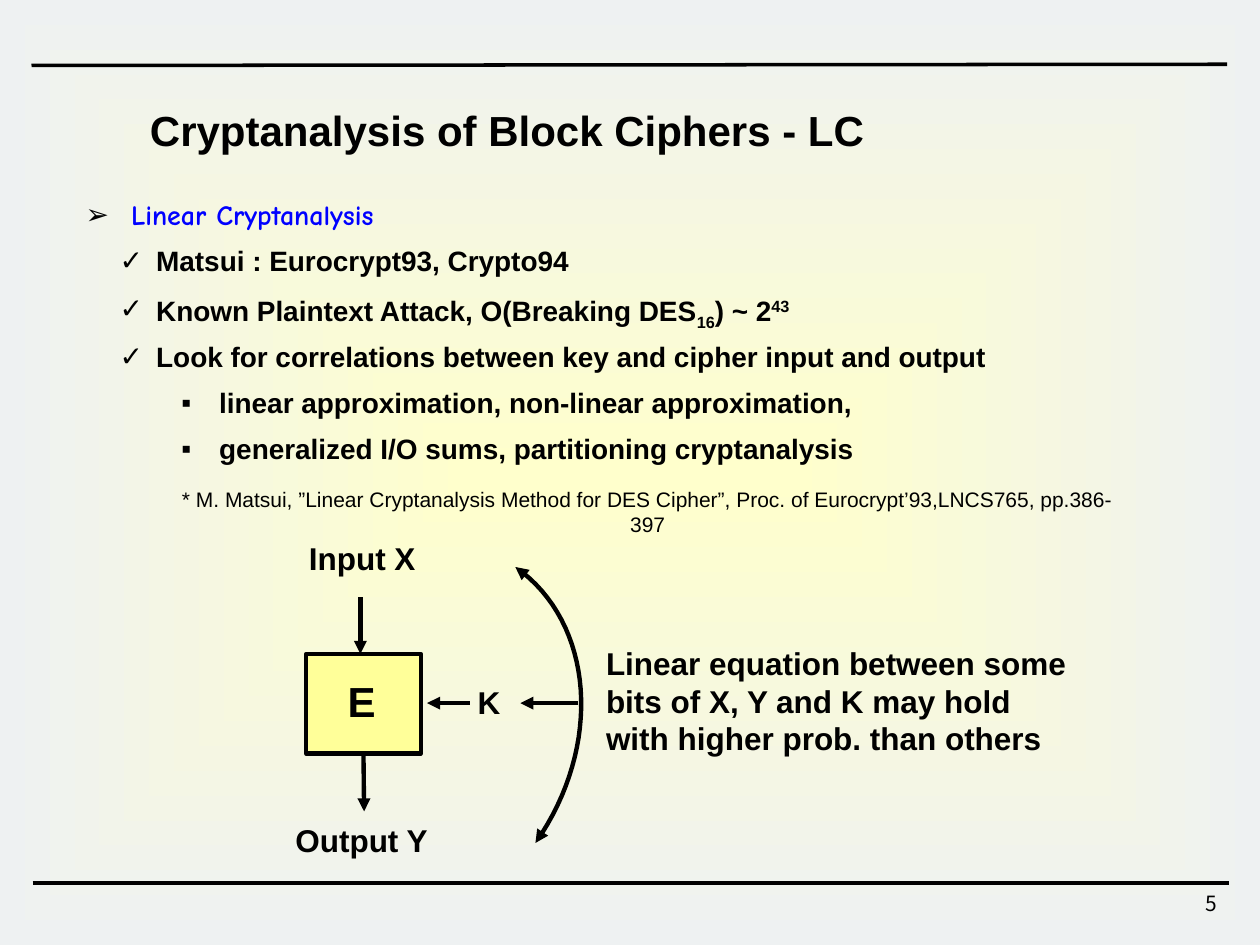
import collections
import dataclasses

import pptx
import pptx.dml.color
import pptx.enum.shapes
import pptx.enum.text
import pptx.oxml
import pptx.oxml.ns
import pptx.util

Inches = pptx.util.Inches
Pt = pptx.util.Pt
ALIGN = pptx.enum.text.PP_ALIGN
SHAPES = pptx.enum.shapes.MSO_SHAPE
Box = collections.namedtuple("Box", "left top width height")
Level = collections.namedtuple("Level", "bullet margin hang")


@dataclasses.dataclass(frozen=True)
class Theme:
    ink: str = "000000"
    accent: str = "0000FF"
    block: str = "FFFF99"
    glow: str = "FFFFCC"
    edge: str = "EEF1F2"
    font: str = "Arial"
    accent_font: str = "Comic Neue"
    number_font: str = "Noto Sans CJK KR"
    title: int = 24
    label: int = 18
    body: int = 16
    small: int = 12
    rule: float = 2
    stroke: float = 2.5


THEME = Theme()
LEVELS = [Level("➢", 0.36, 0.36), Level("✓", 0.56, 0.29), Level("▪", 1.06, 0.3)]
# Each item: level, then (text, baseline shift in thousandths of a percent)
ITEMS = [
    (0, [("Linear Cryptanalysis", 0)]),
    (1, [("Matsui : Eurocrypt93, Crypto94", 0)]),
    (1, [("Known Plaintext Attack, O(Breaking DES", 0), ("16", -25000),
         (") ~ 2", 0), ("43", 30000)]),
    (1, [("Look for correlations between key and cipher input and output", 0)]),
    (2, [("linear approximation, non-linear approximation,", 0)]),
    (2, [("generalized I/O sums, partitioning cryptanalysis", 0)]),
]


def color(value):
    return pptx.dml.color.RGBColor.from_string(value)


def inches(box):
    return [Inches(length) for length in box]


def xml(tag, **attributes):
    element = pptx.oxml.parse_xml(f"<a:{tag} {pptx.oxml.ns.nsdecls('a')}/>")
    for name, value in attributes.items():
        element.set(name, str(value))
    return element


def add_span(para, text, size, bold=True, font=THEME.font, ink=THEME.ink):
    span = para.add_run()
    span.text = text
    span.font.size = Pt(size)
    span.font.bold = bold
    span.font.name = font
    span.font.color.rgb = color(ink)
    return span


def fit_frame(shape, box, inset=0, wrap=True):
    shape.left, shape.top, shape.width, shape.height = inches(box)
    frame = shape.text_frame
    frame.margin_left = frame.margin_right = Inches(inset)
    frame.margin_top = frame.margin_bottom = Inches(inset / 2)
    frame.word_wrap = wrap
    frame.auto_size = pptx.enum.text.MSO_AUTO_SIZE.NONE
    frame.vertical_anchor = pptx.enum.text.MSO_ANCHOR.TOP
    return frame


def add_text(page, box, text, size, align=ALIGN.CENTER, wrap=False, inset=0, **style):
    frame = fit_frame(page.shapes.add_textbox(*inches(box)), box, inset, wrap)
    para = frame.paragraphs[0]
    para.alignment = align
    add_span(para, text, size, **style)


def style_line(shape, width, heads=()):
    shape.line.color.rgb = color(THEME.ink)
    shape.line.width = Pt(width)
    for head in heads:
        shape.line._get_or_add_ln().append(xml(head, type="triangle"))


def add_line(page, start, end, width=THEME.stroke, heads=("tailEnd",)):
    line = page.shapes.add_connector(pptx.enum.shapes.MSO_CONNECTOR.STRAIGHT,
                                     *inches(start + end))
    style_line(line, width, heads)
    line._element.spPr.append(xml("effectLst"))
    return line


def add_rectangle(page, box):
    rectangle = page.shapes.add_shape(SHAPES.RECTANGLE, *inches(box))
    rectangle.shadow.inherit = False
    return rectangle


def add_backdrop(page, box):
    backdrop = add_rectangle(page, box)
    backdrop.line.fill.background()
    backdrop.fill.gradient()
    for stop, value in zip(backdrop.fill.gradient_stops, (THEME.glow, THEME.edge)):
        stop.color.rgb = color(value)
    # Rectangular gradient spreading from the centre
    gradient = backdrop._element.spPr.find(pptx.oxml.ns.qn("a:gradFill"))
    gradient.remove(gradient.find(pptx.oxml.ns.qn("a:lin")))
    spread = xml("path", path="shape")
    spread.append(xml("fillToRect", l=50000, t=50000, r=50000, b=50000))
    gradient.append(spread)
    # Behind the placeholders
    page.shapes._spTree.insert(2, backdrop._element)


def add_frame_rules(page, box):
    right, bottom = box.left + box.width, box.top + box.height
    add_line(page, (box.left, box.top + 0.01), (right - 0.01, box.top), THEME.rule, ())
    add_line(page, (box.left + 0.01, bottom), (right, bottom), THEME.rule, ())
    add_text(page, Box(right - 2.07, bottom + 0.01, 2.08, 0.33), "5", THEME.small,
             ALIGN.RIGHT, True, 0.1, bold=False, font=THEME.number_font)


def fill_title(page, box):
    para = fit_frame(page.shapes.title, box, 0.1).paragraphs[0]
    para.alignment = ALIGN.LEFT
    add_span(para, "Cryptanalysis of Block Ciphers - LC", THEME.title)


def fill_body(page, box):
    frame = fit_frame(page.placeholders[1], box)
    for index, (depth, parts) in enumerate(ITEMS):
        para = frame.add_paragraph() if index else frame.paragraphs[0]
        level = LEVELS[depth]
        para.level = depth
        para.line_spacing = 0.9
        para.space_before = Pt(9 if index else 0)
        properties = para._p.get_or_add_pPr()
        properties.set("marL", str(Inches(level.margin)))
        properties.set("indent", str(-Inches(level.hang)))
        bullet_color = xml("buClr")
        bullet_color.append(xml("srgbClr", val=THEME.ink))
        properties.append(bullet_color)
        properties.append(xml("buFont", typeface=THEME.font))
        properties.append(xml("buChar", char=level.bullet))
        style = {} if depth else {"font": THEME.accent_font, "ink": THEME.accent}
        for text, shift in parts:
            span = add_span(para, text, THEME.body, **style)
            if shift:
                span._r.get_or_add_rPr().set("baseline", str(shift))


def add_arc(page, points, steps=32):
    """Draw a cubic curve through its four control points, arrows at both ends."""
    curve = []
    for step in range(steps + 1):
        t = step / steps
        weights = ((1 - t) ** 3, 3 * t * (1 - t) ** 2, 3 * t ** 2 * (1 - t), t ** 3)
        curve.append(tuple(Inches(sum(w * p[axis] for w, p in zip(weights, points)))
                           for axis in (0, 1)))
    builder = page.shapes.build_freeform(*curve[0])
    builder.add_line_segments(curve[1:], close=False)
    arc = builder.convert_to_shape()
    arc.shadow.inherit = False
    arc.fill.background()
    style_line(arc, THEME.stroke, ("headEnd", "tailEnd"))


def add_cipher_diagram(page, box):
    x, y = box.left, box.top
    # Cipher block
    block = add_rectangle(page, Box(x + 0.09, y + 0.91, 0.91, 0.79))
    block.fill.solid()
    block.fill.fore_color.rgb = color(THEME.block)
    style_line(block, THEME.stroke)
    add_text(page, Box(x + 0.42, y + 1.08, 0.22, 0.4), "E", THEME.title)
    # Input, output and key
    add_text(page, Box(x + 0.11, y, 0.85, 0.3), "Input X", THEME.label)
    add_text(page, Box(x, y + 2.24, 1.06, 0.3), "Output Y", THEME.label)
    add_text(page, Box(x + 1.45, y + 1.14, 0.18, 0.3), "K", THEME.label)
    add_line(page, (x + 0.52, y + 0.46), (x + 0.52, y + 0.91))
    output = add_line(page, (x + 0.55, y + 1.7), (x + 0.55, y + 2.16))
    output.begin_connect(block, 2)
    for start, end in ((1.39, 1.05), (2.25, 1.79)):
        add_line(page, (x + start, y + 1.3), (x + end, y + 1.3))
    # Relation between input, key and output
    add_arc(page, [(x + 1.75, y + 0.22), (x + 2.38, y + 0.66),
                   (x + 2.45, y + 1.64), (x + 1.91, y + 2.41)])
    add_text(page, Box(x + 2.47, y + 0.83, 3.69, 0.9),
             "Linear equation between some bits of X, Y and K may hold "
             "with higher prob. than others", THEME.label, ALIGN.LEFT, True)


def main():
    deck = pptx.Presentation()
    deck.slide_width, deck.slide_height = Inches(10), Inches(7.5)
    page = deck.slides.add_slide(deck.slide_layouts[1])
    add_backdrop(page, Box(0, 0, 10, 7.5))
    add_frame_rules(page, Box(0.25, 0.51, 9.5, 6.5))
    fill_title(page, Box(1.09, 0.78, 6.33, 0.5))
    fill_body(page, Box(0.68, 1.6, 8.81, 2.12))
    add_cipher_diagram(page, Box(2.34, 4.28, 6.16, 2.54))
    # Reference
    add_text(page, Box(1.4, 3.86, 7.48, 0.4),
             "* M. Matsui, ”Linear Cryptanalysis Method for DES Cipher”, "
             "Proc. of Eurocrypt’93,LNCS765, pp.386-397",
             THEME.small, wrap=True, bold=False)
    deck.save("out.pptx")


if __name__ == "__main__":
    main()
